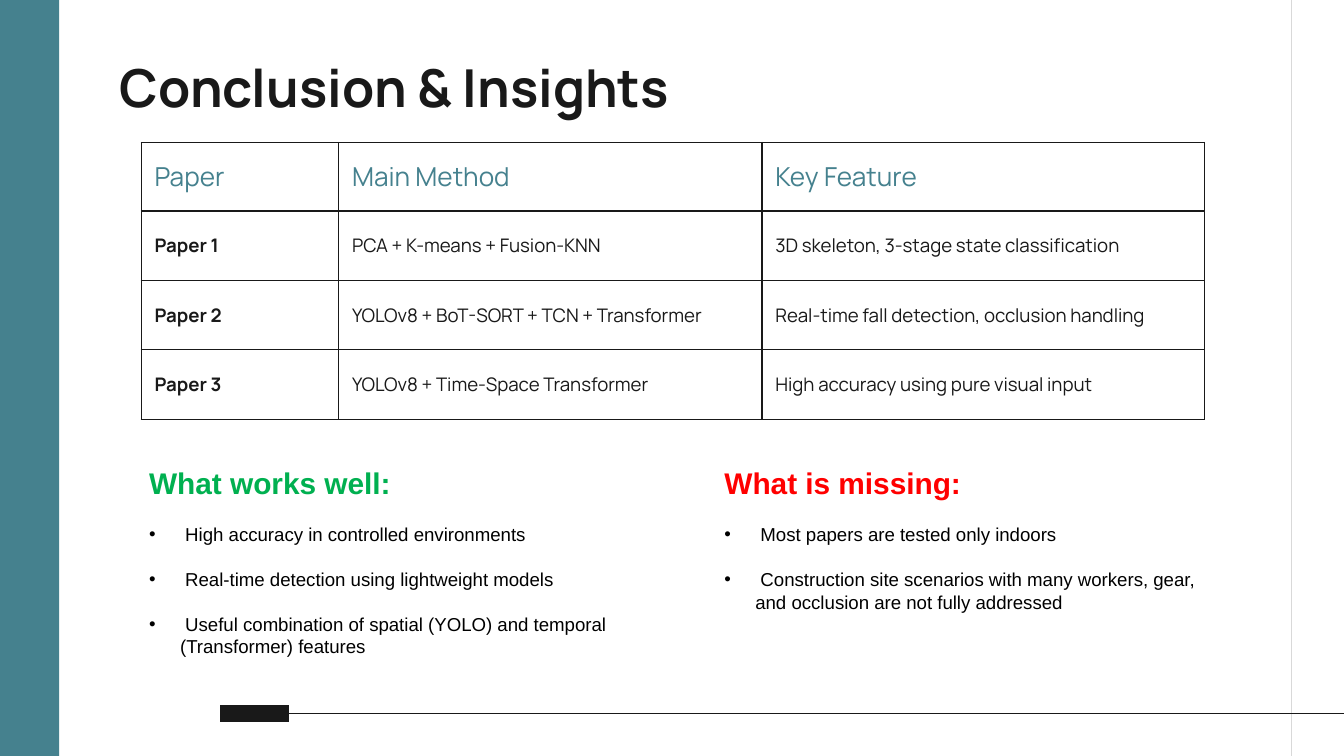
"""Build the conclusion slide: a paper comparison table above two lists of findings."""
from dataclasses import dataclass

from lxml.etree import SubElement
from pptx import Presentation
from pptx.dml.color import RGBColor
from pptx.enum.shapes import MSO_CONNECTOR as Connector, MSO_SHAPE as Shape
from pptx.enum.text import MSO_ANCHOR as Anchor, MSO_AUTO_SIZE as AutoSize, PP_ALIGN as Align
from pptx.oxml.ns import qn
from pptx.util import Inches, Pt

TEAL = RGBColor(0x45, 0x81, 0x8E)
INK = RGBColor(0x19, 0x19, 0x19)
RULE_GREY = RGBColor(0xD9, 0xD9, 0xD9)
GREEN = RGBColor(0x00, 0xB0, 0x50)
RED = RGBColor(0xFF, 0x00, 0x00)
BLACK = RGBColor(0x00, 0x00, 0x00)
HEAD_FONT = "Manrope"
LIST_FONT = "Arial"
MARGIN = Inches(0.1)
SLIDE_WIDTH = Inches(10)
SLIDE_HEIGHT = SLIDE_WIDTH * 9 // 16


@dataclass
class Rule:
    start: tuple[float, float]
    end: tuple[float, float]
    color: RGBColor
    width: float


@dataclass
class Findings:
    left: float
    heading: str
    color: RGBColor
    items: list[str]


RULES = [
    Rule((9.61, -0.04), (9.61, 5.66), RULE_GREY, 0.75),
    Rule((1.64, 5.31), (2.15, 5.31), INK, 9),
    Rule((2.15, 5.31), (10.06, 5.31), INK, 0.75),
]
COLUMN_WIDTHS = [1.47, 3.15, 3.29]
ROW_HEIGHTS = [0.51, 0.52, 0.51, 0.52]
PAPERS = [
    ["Paper", "Main Method", "Key Feature"],
    ["Paper 1", "PCA + K-means + Fusion-KNN", "3D skeleton, 3-stage state classification"],
    ["Paper 2", "YOLOv8 + BoT-SORT + TCN + Transformer",
     "Real-time fall detection, occlusion handling"],
    ["Paper 3", "YOLOv8 + Time-Space Transformer", "High accuracy using pure visual input"],
]
FINDINGS = [
    Findings(1.01, "What works well:", GREEN, [
        " High accuracy in controlled environments",
        " Real-time detection using lightweight models",
        " Useful combination of spatial (YOLO) and temporal (Transformer) features",
    ]),
    Findings(5.29, "What is missing:", RED, [
        " Most papers are tested only indoors",
        " Construction site scenarios with many workers, gear, and occlusion are not fully addressed",
    ]),
]


def place(shape, left: float, top: float, width: float, height: float) -> None:
    """Move and size a shape, in inches."""
    shape.left, shape.top = Inches(left), Inches(top)
    shape.width, shape.height = Inches(width), Inches(height)


def style(paragraph, name: str, size: float, color: RGBColor, bold: bool = False) -> None:
    """Set the font of a whole paragraph."""
    font = paragraph.font
    font.name, font.size, font.bold = name, Pt(size), bold
    font.color.rgb = color


def add_rule(slide, rule: Rule) -> None:
    """Draw a straight line without a shadow."""
    ends = [Inches(value) for value in (*rule.start, *rule.end)]
    line = slide.shapes.add_connector(Connector.STRAIGHT, *ends)
    line.line.color.rgb = rule.color
    line.line.width = Pt(rule.width)
    SubElement(line._element.spPr, qn("a:effectLst"))


def add_sidebar(slide) -> None:
    """Draw the coloured band on the left edge."""
    band = slide.shapes.add_shape(Shape.RECTANGLE, 0, 0, Inches(0.44), SLIDE_HEIGHT)
    band.shadow.inherit = False
    band.fill.solid()
    band.fill.fore_color.rgb = TEAL
    band.line.fill.background()


def fill_title(title) -> None:
    """Write the slide title."""
    place(title, 0.79, 0.33, 8.43, 0.63)
    frame = title.text_frame
    frame.text = "Conclusion & Insights"
    frame.auto_size = AutoSize.NONE
    frame.vertical_anchor = Anchor.MIDDLE
    frame.margin_left = frame.margin_right = frame.margin_top = frame.margin_bottom = MARGIN
    paragraph = frame.paragraphs[0]
    paragraph.alignment = Align.LEFT
    style(paragraph, HEAD_FONT, 28, INK, bold=True)


def add_borders(cell) -> None:
    """Outline all four sides of a cell."""
    properties = cell._tc.get_or_add_tcPr()
    for position, side in enumerate(("lnL", "lnR", "lnT", "lnB")):
        border = SubElement(properties, qn(f"a:{side}"), w=str(Pt(0.75)))
        fill = SubElement(border, qn("a:solidFill"))
        SubElement(fill, qn("a:srgbClr"), val=str(INK))
        properties.insert(position, border)


def add_paper_table(slide) -> None:
    """Add the table that compares the papers."""
    frame = slide.shapes.add_table(
        len(PAPERS), len(COLUMN_WIDTHS), Inches(1.05), Inches(1.06),
        Inches(sum(COLUMN_WIDTHS)), Inches(sum(ROW_HEIGHTS)))
    table = frame.table
    table.first_row = table.horz_banding = False
    for column, width in zip(table.columns, COLUMN_WIDTHS):
        column.width = Inches(width)
    for row_index, (row, height, texts) in enumerate(zip(table.rows, ROW_HEIGHTS, PAPERS)):
        row.height = Inches(height)
        for column_index, (cell, text) in enumerate(zip(row.cells, texts)):
            cell.text = text
            cell.vertical_anchor = Anchor.MIDDLE
            cell.margin_left = cell.margin_right = cell.margin_top = cell.margin_bottom = MARGIN
            cell.fill.background()
            add_borders(cell)
            paragraph = cell.text_frame.paragraphs[0]
            if row_index == 0:
                style(paragraph, HEAD_FONT, 14, TEAL)
            else:
                style(paragraph, HEAD_FONT, 10, INK, bold=column_index == 0)


def set_bullet(paragraph, symbol: str = "") -> None:
    """Give a paragraph a hanging bullet, or none."""
    properties = paragraph._p.get_or_add_pPr()
    indent = Inches(0.23) if symbol else 0
    properties.set("marL", str(indent))
    properties.set("indent", str(-indent))
    if symbol:
        color = SubElement(properties, qn("a:buClr"))
        SubElement(color, qn("a:srgbClr"), val=str(BLACK))
        SubElement(properties, qn("a:buFont"), typeface=LIST_FONT)
        SubElement(properties, qn("a:buChar"), char=symbol)
    else:
        SubElement(properties, qn("a:buNone"))


def fill_findings(body, findings: Findings) -> None:
    """Write a coloured heading and its bullet list."""
    place(body, findings.left, 3.41, 3.85, 1.88)
    frame = body.text_frame
    frame.word_wrap = True
    frame.auto_size = AutoSize.NONE
    frame.vertical_anchor = Anchor.TOP
    heading = frame.paragraphs[0]
    heading.text = findings.heading
    heading.space_before = Pt(0)
    set_bullet(heading)
    style(heading, LIST_FONT, 16, findings.color, bold=True)
    for item in findings.items:
        paragraph = frame.add_paragraph()
        paragraph.text = item
        paragraph.space_before = Pt(12)
        set_bullet(paragraph, "•")
        style(paragraph, LIST_FONT, 10, BLACK)


def main() -> None:
    """Build and save the deck."""
    deck = Presentation()
    deck.slide_width, deck.slide_height = SLIDE_WIDTH, SLIDE_HEIGHT
    slide = deck.slides.add_slide(deck.slide_layouts.get_by_name("Two Content"))
    title, *bodies = slide.placeholders
    add_sidebar(slide)
    for rule in RULES:
        add_rule(slide, rule)
    fill_title(title)
    add_paper_table(slide)
    for body, findings in zip(bodies, FINDINGS):
        fill_findings(body, findings)
    deck.save("out.pptx")


if __name__ == "__main__":
    main()
